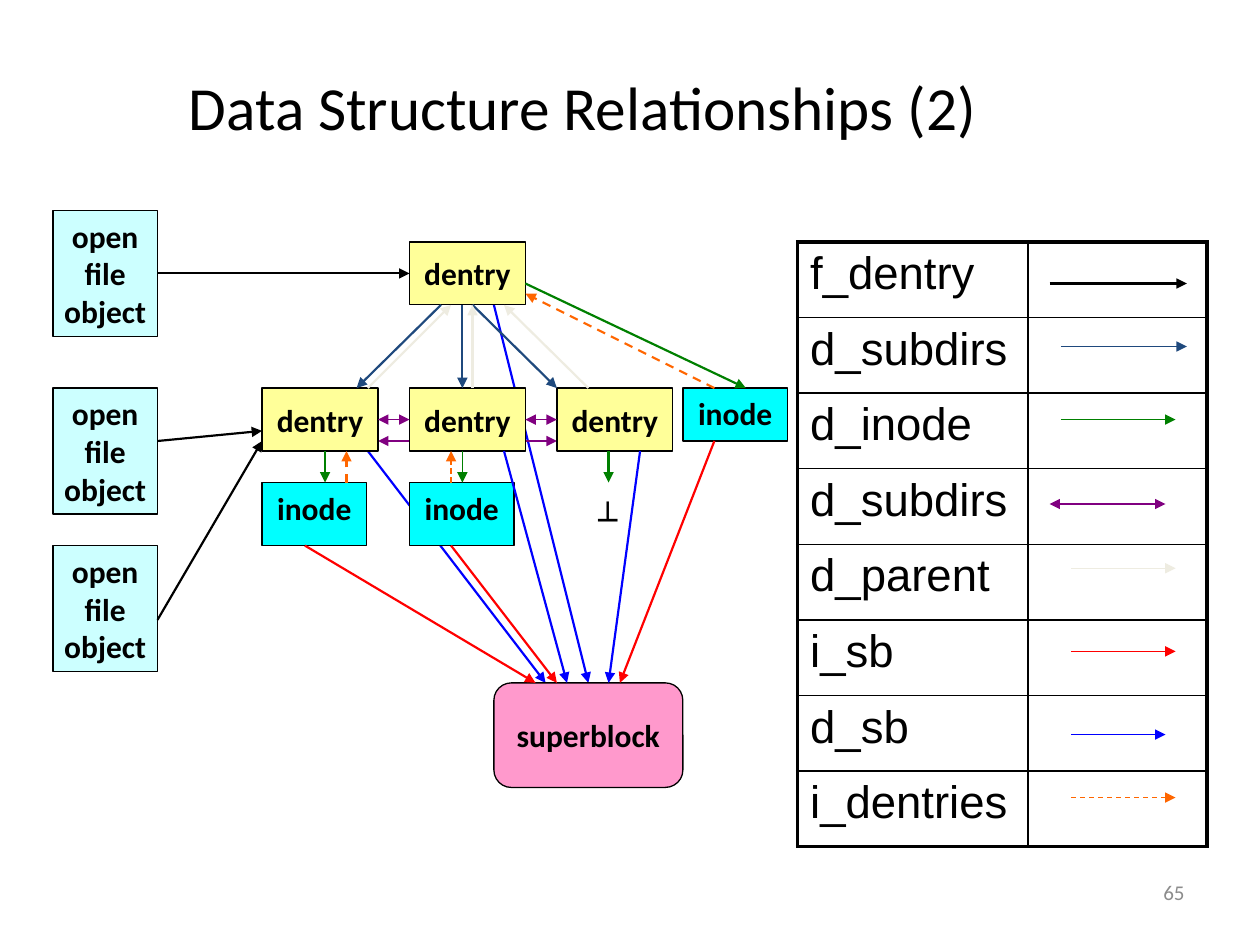
from pptx import Presentation
from pptx.dml.color import RGBColor
from pptx.enum.dml import MSO_LINE
from pptx.enum.shapes import MSO_CONNECTOR, MSO_SHAPE
from pptx.enum.text import MSO_ANCHOR, PP_ALIGN
from pptx.oxml.ns import qn
from pptx.util import Inches, Pt
from lxml import etree

RECT, ROUND = MSO_SHAPE.RECTANGLE, MSO_SHAPE.ROUNDED_RECTANGLE
STRAIGHT, DASH = MSO_CONNECTOR.STRAIGHT, MSO_LINE.DASH
TOP, MIDDLE = MSO_ANCHOR.TOP, MSO_ANCHOR.MIDDLE
LEFT, CENTER, RIGHT = PP_ALIGN.LEFT, PP_ALIGN.CENTER, PP_ALIGN.RIGHT

BLACK = RGBColor(0x00, 0x00, 0x00)
GRAY = RGBColor(0x8C, 0x8C, 0x8C)
BLUE = RGBColor(0x00, 0x00, 0xFF)
NAVY = RGBColor(0x1F, 0x49, 0x7D)
GREEN = RGBColor(0x00, 0x80, 0x00)
PURPLE = RGBColor(0x80, 0x00, 0x80)
CREAM = RGBColor(0xEE, 0xEC, 0xE1)
RED = RGBColor(0xFF, 0x00, 0x00)
ORANGE = RGBColor(0xFF, 0x66, 0x00)
PALE = RGBColor(0xCC, 0xFF, 0xFF)
CYAN = RGBColor(0x00, 0xFF, 0xFF)
YELLOW = RGBColor(0xFF, 0xFF, 0x99)
PINK = RGBColor(0xFF, 0x99, 0xCC)

THIN, THICK = 0.75, 1.25


class Board:
    font = "Calibri"

    def __init__(self, deck):
        self.slide = deck.slides.add_slide(deck.slide_layouts[6])
        self.shapes = self.slide.shapes

    def label(self, frame, text, size, color=BLACK, bold=False, align=CENTER, font=None):
        frame.text = text
        for para in frame.paragraphs:
            para.alignment = align
            para.font.name = font or self.font
            para.font.size = Pt(size)
            para.font.bold = bold
            para.font.color.rgb = color

    def text(self, at, text, size, color=BLACK, align=CENTER, anchor=MIDDLE, wrap=True):
        frame = self.shapes.add_textbox(*map(Inches, at)).text_frame
        frame.word_wrap = wrap
        frame.vertical_anchor = anchor
        self.label(frame, text, size, color, align=align)

    def box(self, at, text, fill, kind=RECT, anchor=MIDDLE):
        shape = self.shapes.add_shape(kind, *map(Inches, at))
        shape.shadow.inherit = False
        shape.fill.solid()
        shape.fill.fore_color.rgb = fill
        shape.line.color.rgb = BLACK
        shape.line.width = Pt(THIN)
        shape.text_frame.word_wrap = False
        shape.text_frame.vertical_anchor = anchor
        self.label(shape.text_frame, text, 18, bold=True)

    def arrow(self, ends, color, width=THICK):
        line = self.shapes.add_connector(STRAIGHT, *map(Inches, ends))
        line.line.color.rgb = color
        line.line.width = Pt(width)
        if color == ORANGE:
            line.line.dash_style = DASH
        props = line._element.spPr
        stroke = props.find(qn("a:ln"))
        for tag in ("a:headEnd", "a:tailEnd") if color == PURPLE else ("a:tailEnd",):
            etree.SubElement(stroke, qn(tag), type="triangle")
        etree.SubElement(props, qn("a:effectLst"))

    def edge(self, cell, side, width):
        props = cell._tc.get_or_add_tcPr()
        line = etree.SubElement(props, qn("a:ln" + side), w=str(Pt(width)))
        fill = etree.SubElement(line, qn("a:solidFill"))
        etree.SubElement(fill, qn("a:srgbClr"), val=str(BLACK))

    def table(self, at, names, widths, height):
        rows, cols = len(names), len(widths)
        grid = self.shapes.add_table(rows, cols, *map(Inches, at)).table
        grid.first_row = grid.horz_banding = False
        for col, width in zip(grid.columns, widths):
            col.width = Inches(width)
        for r, name in enumerate(names):
            grid.rows[r].height = Inches(height)
            for c in range(cols):
                cell = grid.cell(r, c)
                outer = {"L": c == 0, "R": c == cols - 1, "T": r == 0, "B": r == rows - 1}
                for side, bold in outer.items():
                    self.edge(cell, side, 2.25 if bold else 1)
                cell.fill.background()
            self.label(grid.cell(r, 0).text_frame, name, 26, align=LEFT, font="Arial")


def main():
    deck = Presentation()
    deck.slide_width, deck.slide_height = Inches(10), Inches(7.5)
    board = Board(deck)

    board.text((0.5, 0.13, 8.25, 1.42), "Data Structure Relationships (2)", 35)
    board.text((7.17, 6.83, 2.33, 0.5), "65", 12, GRAY, RIGHT)

    board.arrow((2.92, 3.58, 4.33, 5.42), BLUE)
    board.arrow((3.92, 2.42, 4.67, 5.42), BLUE)
    board.arrow((3, 3.5, 4.42, 3.5), PURPLE, THIN)

    for y in (1.67, 3.08, 4.33):
        board.box((0.42, y, 0.83, 1), "open\nfile\nobject", PALE)
    for x, y in ((3.25, 1.92), (2.08, 3.08), (3.25, 3.08), (4.42, 3.08)):
        board.box((x, y, 0.92, 0.5), "dentry", YELLOW)
    for x, y, high in ((5.42, 3.08, 0.42), (2.08, 3.83, 0.5), (3.25, 3.83, 0.5)):
        board.box((x, y, 0.83, high), "inode", CYAN, anchor=TOP)
    board.box((3.92, 5.42, 1.5, 0.83), "superblock", PINK, ROUND)
    board.text((4.65, 3.92, 0.38, 0.4), "┴", 18, align=LEFT, anchor=TOP, wrap=False)

    links = (
        (BLACK, ((1.25, 2.17, 3.25, 2.17), (1.25, 3.5, 2.08, 3.42), (1.25, 4.92, 2.08, 3.5))),
        (NAVY, ((3.5, 2.42, 2.83, 3.08), (3.67, 2.42, 3.67, 3.08), (3.75, 2.42, 4.42, 3.08))),
        (GREEN, ((2.58, 3.58, 2.58, 3.83), (4.17, 2.25, 5.92, 3.08), (4.83, 3.58, 4.83, 3.83))),
        (CREAM, ((4.67, 3.08, 4, 2.42), (3.75, 3.08, 3.75, 2.42), (2.92, 3.08, 3.58, 2.42))),
        (RED, ((2.42, 4.33, 4.25, 5.42), (3.58, 4.33, 4.42, 5.42), (5.67, 3.5, 4.92, 5.42))),
        (BLUE, ((5.08, 3.58, 4.83, 5.42), (4, 3.58, 4.5, 5.42))),
        (ORANGE, ((5.67, 3.08, 4.17, 2.33), (2.75, 3.83, 2.75, 3.58))),
    )
    for color, group in links:
        for ends in group:
            board.arrow(ends, color)

    board.arrow((3.67, 3.58, 3.67, 3.83), GREEN, THIN)
    board.arrow((3.58, 3.83, 3.58, 3.58), ORANGE, THIN)
    for x in (3, 4.17):
        board.arrow((x, 3.33, x + 0.25, 3.33), PURPLE, THIN)

    legend = (
        ("f_dentry", BLACK, 8.33, 9.42, 2.25),
        ("d_subdirs", NAVY, 8.42, 9.42, 2.75),
        ("d_inode", GREEN, 8.42, 9.33, 3.33),
        ("d_subdirs", PURPLE, 8.33, 9.25, 4),
        ("d_parent", CREAM, 8.5, 9.33, 4.51),
        ("i_sb", RED, 8.5, 9.33, 5.17),
        ("d_sb", BLUE, 8.5, 9.25, 5.83),
        ("i_dentries", ORANGE, 8.5, 9.33, 6.33),
    )
    names = [row[0] for row in legend]
    board.table((6.33, 1.92, 3.25, 4.79), names, (1.83, 1.42), 0.6)
    for name, color, start, end, y in legend:
        board.arrow((start, y, end, y), color, THICK if color == BLACK else THIN)

    deck.save("out.pptx")


if __name__ == "__main__":
    main()
